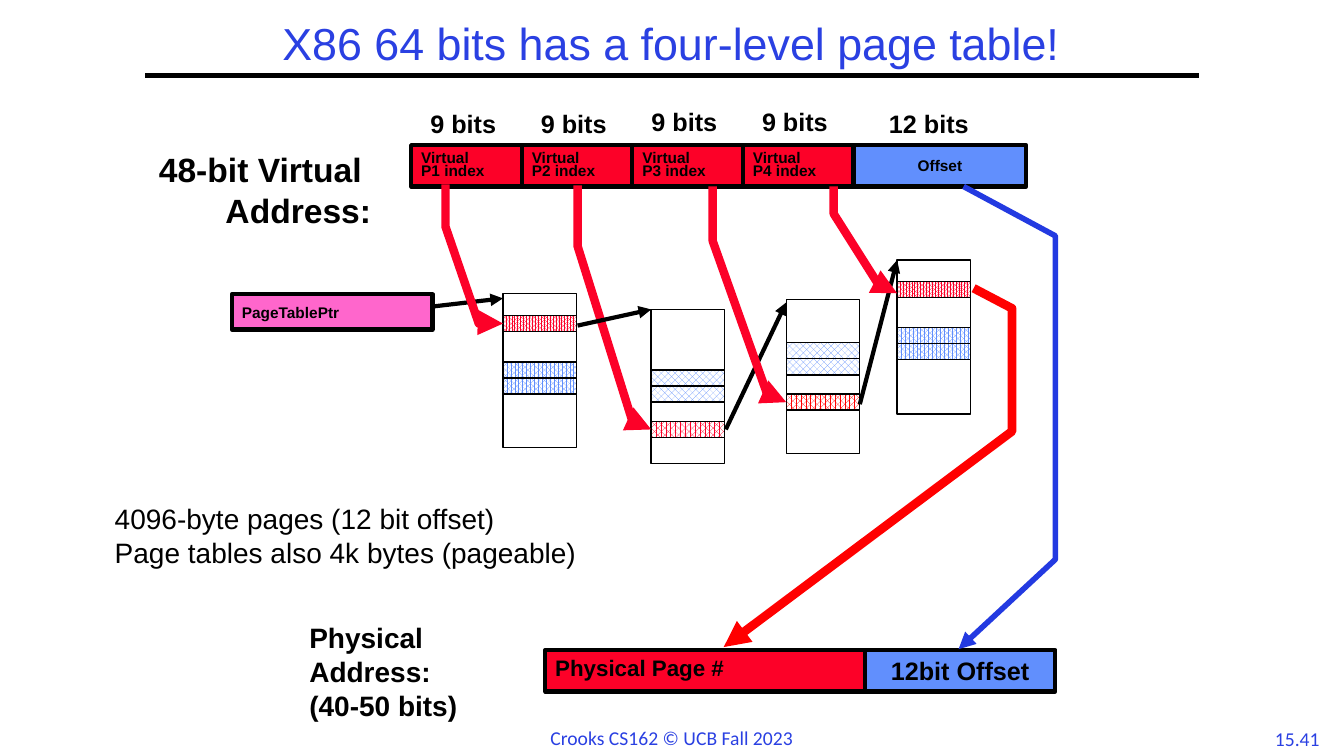
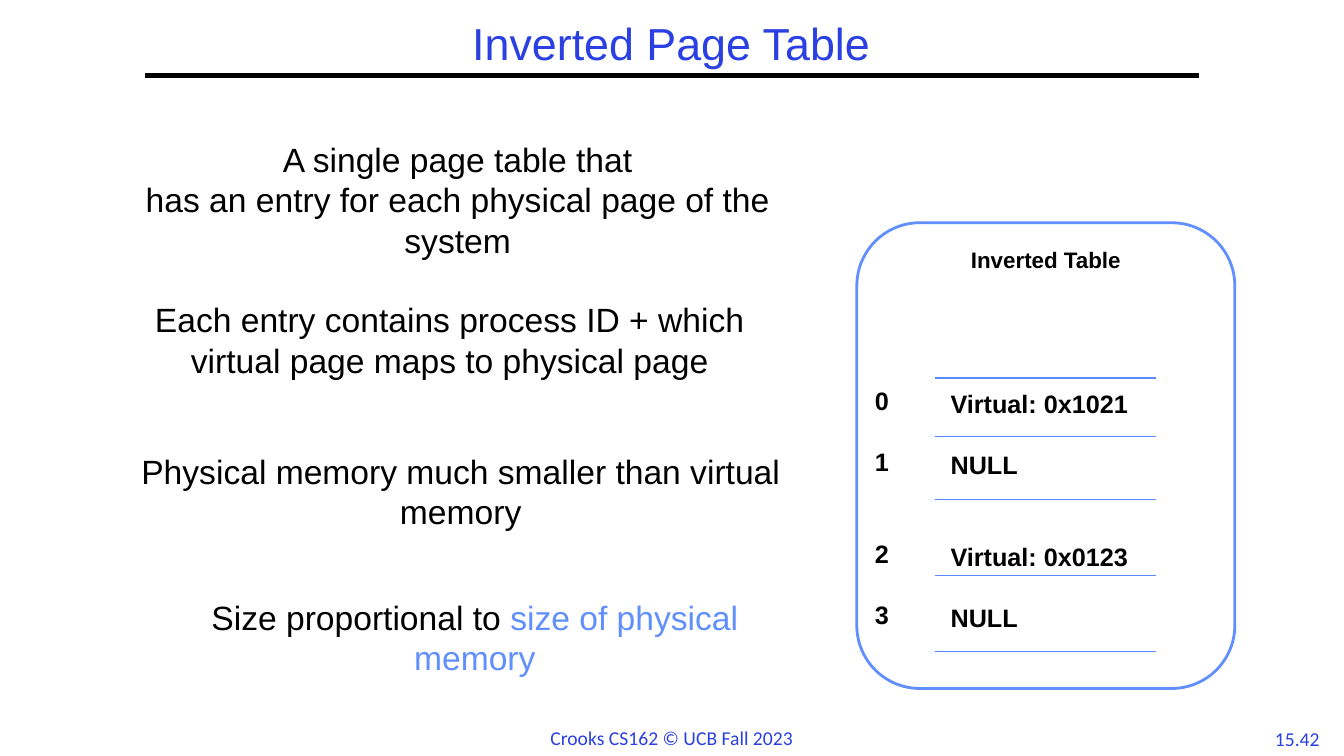
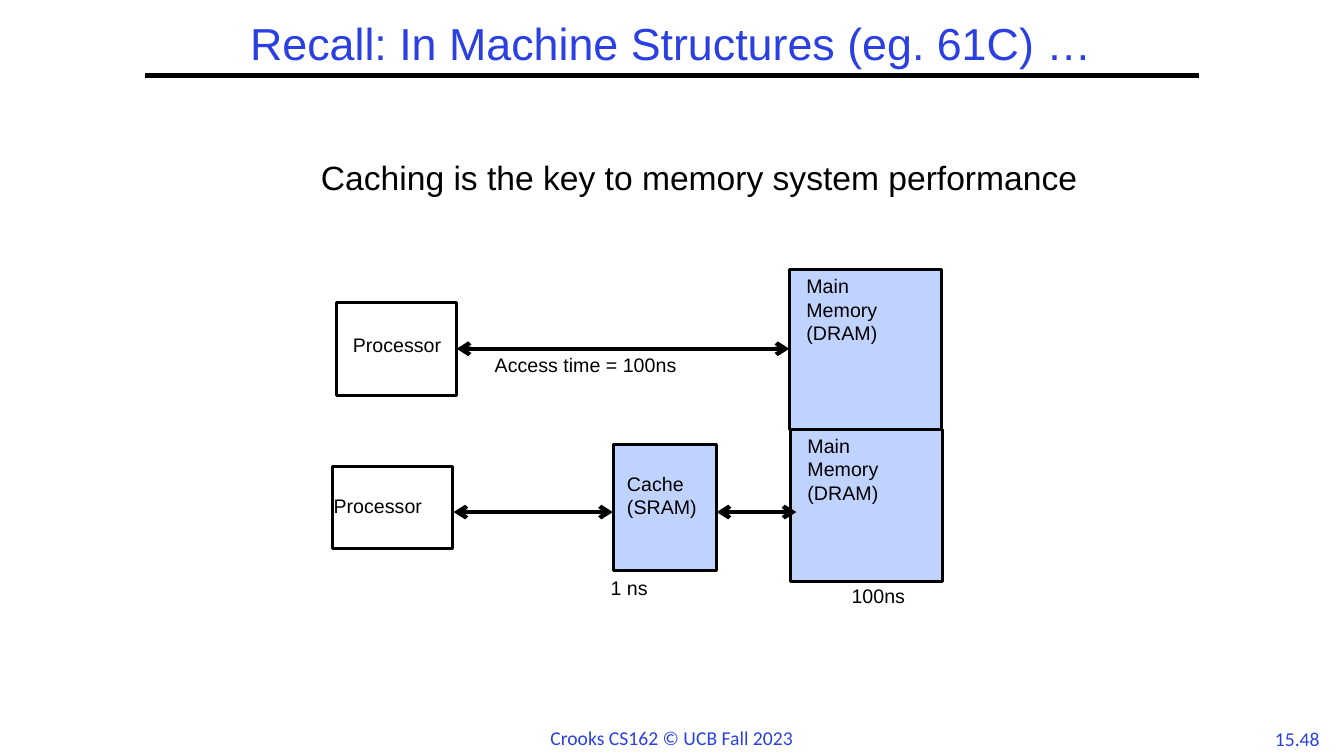
"""Builds three lecture slides on page tables and caching."""
from lxml import etree
from pptx import Presentation
from pptx import util as u
from pptx.dml.color import RGBColor
from pptx.enum import dml, shapes, text
from pptx.oxml import ns

CELL = u.Inches(0.1)
SLIDE_COLUMNS, SLIDE_ROWS = 133.33, 75

BLACK = RGBColor(0x00, 0x00, 0x00)
WHITE = RGBColor(0xFF, 0xFF, 0xFF)
TITLE_BLUE = RGBColor(0x2A, 0x40, 0xE2)
OFFSET_BLUE = RGBColor(0x23, 0x3A, 0xE1)
SKY = RGBColor(0x61, 0x8F, 0xFD)
RULE_BLUE = RGBColor(0x5B, 0x8A, 0xFB)
PALE_BLUE = RGBColor(0xC0, 0xD2, 0xFE)
RED = RGBColor(0xFC, 0x01, 0x28)
PURE_RED = RGBColor(0xFF, 0x00, 0x00)
PINK = RGBColor(0xFF, 0x66, 0xCC)

LEFT, CENTER, RIGHT = text.PP_ALIGN.LEFT, text.PP_ALIGN.CENTER, text.PP_ALIGN.RIGHT
TOP, MIDDLE = text.MSO_ANCHOR.TOP, text.MSO_ANCHOR.MIDDLE
PATTERN = dml.MSO_PATTERN_TYPE
RECTANGLE = shapes.MSO_SHAPE.RECTANGLE


def cells(count):
    """Convert a number of grid cells to a length."""
    return u.Emu(round(count * CELL))


def write(shape, lines, size, color=BLACK, bold=False, align=LEFT, anchor=TOP,
          spacing=None, font="Arial", inset=(1, 0.5), gaps=None, wrap=True):
    """Fill a shape with paragraphs; a line is a string or a list of (string, color)."""
    frame = shape.text_frame
    frame.word_wrap = wrap
    frame.vertical_anchor = anchor
    frame.margin_left, frame.margin_top = map(cells, inset)
    frame.margin_right, frame.margin_bottom = cells(min(inset[0], 1)), cells(0.5)
    for index, line in enumerate(lines):
        paragraph = frame.paragraphs[0] if index == 0 else frame.add_paragraph()
        paragraph.alignment = align
        if spacing:
            paragraph.line_spacing = spacing
        if gaps and index:
            paragraph.space_before = u.Pt(gaps[index - 1])
        for words, run_color in [(line, color)] if isinstance(line, str) else line:
            run = paragraph.add_run()
            run.text = words
            run.font.name, run.font.size, run.font.bold = font, u.Pt(size), bold
            run.font.color.rgb = run_color


def label(slide, area, lines, size, **style):
    """Add a text box."""
    write(slide.shapes.add_textbox(*map(cells, area)), lines, size, **style)


def box(slide, area, fill=None, line=BLACK, width=3, kind=RECTANGLE, pattern=None):
    """Add an outlined shape with a plain, patterned or empty fill."""
    shape = slide.shapes.add_shape(kind, *map(cells, area))
    shape.shadow.inherit = False
    if pattern:
        shape.fill.patterned()
        shape.fill.pattern = pattern
        shape.fill.fore_color.rgb, shape.fill.back_color.rgb = fill, WHITE
    elif fill is not None:
        shape.fill.solid()
        shape.fill.fore_color.rgb = fill
    else:
        shape.fill.background()
    shape.line.color.rgb, shape.line.width = line, u.Pt(width)
    return shape


def finish_line(shape, color, width, head=None, tail=None):
    """Set the stroke and arrowheads of a line."""
    shape.line.color.rgb, shape.line.width = color, u.Pt(width)
    outline = shape.element.spPr.find(ns.qn("a:ln"))
    for tag, kind in (("a:headEnd", head), ("a:tailEnd", tail)):
        if kind:
            etree.SubElement(outline, ns.qn(tag), type=kind)


def connect(slide, start, end, color=BLACK, width=3, head=None, tail=None):
    """Add a straight connector between two grid points."""
    connector = slide.shapes.add_connector(
        shapes.MSO_CONNECTOR.STRAIGHT, *map(cells, (*start, *end)))
    finish_line(connector, color, width, head, tail)
    etree.SubElement(connector.element.spPr, ns.qn("a:effectLst"))


def bent_arrow(slide, points, color=RED, width=6):
    """Add an open path through grid points that ends in an arrowhead."""
    start, *others = [tuple(map(cells, point)) for point in points]
    builder = slide.shapes.build_freeform(*start)
    builder.add_line_segments(others, close=False)
    shape = builder.convert_to_shape()
    shape.shadow.inherit = False
    shape.fill.background()
    finish_line(shape, color, width, tail="triangle")


def page_table(slide, left, top, red_row, blue_row, red, red_pattern, blue_pattern):
    """Add a page table with one red entry and two blue entries."""
    width, entry = 7.3, 1.6
    box(slide, (left, top, width, 15.3), width=1)
    for row, color, pattern in ((red_row, red, red_pattern),
                                (blue_row, SKY, blue_pattern),
                                (blue_row + entry, SKY, blue_pattern)):
        box(slide, (left, top + row, width, entry), color, width=1, pattern=pattern)


def new_slide(presentation, title, number):
    """Add a slide with the shared title, rule and footer."""
    slide = presentation.slides.add_slide(presentation.slide_layouts[6])
    small = dict(size=14, color=TITLE_BLUE, font="Calibri", align=CENTER, wrap=False)
    label(slide, (125.3, 71.6, 6.8, 3.3), [number], **small)
    label(slide, (53.5, 71.5, 26.3, 3.4), ["Crooks CS162 © UCB Fall 2023"], **small)
    connect(slide, (14.4, 7.5), (118.9, 7.5))
    label(slide, (14.4, 1.7, 104.4, 5.8), [title], 32, color=TITLE_BLUE,
          align=CENTER, anchor=MIDDLE, spacing=0.9)
    return slide


def four_level_slide(presentation):
    """Show how an address walks four page tables."""
    slide = new_slide(presentation, "X86 64 bits has a four-level page table!", "15.41")
    label(slide, (29.7, 61.1, 21.6, 11.1),
          ["Physical", "Address:", "(40-50 bits)"], 20, bold=True)
    write(box(slide, (85.8, 64.5, 18.9, 4.1), SKY), ["12bit Offset"], 18,
          bold=True, align=CENTER, anchor=MIDDLE)
    write(box(slide, (54.1, 64.5, 31.7, 4.1), RED), ["Physical Page #"], 16,
          bold=True, anchor=MIDDLE, spacing=0.75)
    label(slide, (6.7, 14.3, 31.1, 9.1), ["48-bit Virtual ", "Address:"], 24,
          bold=True, align=RIGHT)

    index_left, pitch = 40.8, 10.97
    for level, bits_top in enumerate((10.6, 10.6, 10.4, 10.4)):
        left = index_left + level * pitch
        label(slide, (left + 0.9, bits_top, 10.1, 3.3), ["9 bits"], 18,
              bold=True, spacing=0.9)
        write(box(slide, (left, 14.4, pitch, 4.1), RED),
              ["Virtual", f"P{level + 1} index"], 11,
              bold=True, anchor=MIDDLE, spacing=0.75)
    label(slide, (87.2, 10.6, 11.8, 3.3), ["12 bits"], 18, bold=True, spacing=0.9)
    write(box(slide, (84.7, 14.4, 17.1, 4.1), SKY), ["Offset"], 11,
          bold=True, align=CENTER, anchor=MIDDLE)
    write(box(slide, (23, 29.2, 19.9, 3.5), PINK), ["PageTablePtr"], 11,
          bold=True, anchor=MIDDLE)

    dense = (PATTERN.PERCENT_80, PATTERN.PERCENT_75)
    light = (PATTERN.PERCENT_70, PATTERN.PERCENT_50)
    for left, top, red_row, blue_row, red, patterns in (
            (49.9, 29.1, 2.2, 6.8, RED, dense),
            (64.6, 30.7, 11.1, 6, RED, light),
            (78, 29.7, 9.4, 4.3, PURE_RED, light),
            (89, 25.8, 2.1, 6.7, RED, dense)):
        page_table(slide, left, top, red_row, blue_row, red, *patterns)

    bent_arrow(slide, [(57.3, 18.4), (57.3, 24.4), (63, 42.6), (64.6, 42.6)])
    for start, end in (((43, 30.4), (49.9, 29.6)), ((57.3, 32.3), (64.6, 30.7)),
                       ((72, 42.6), (78, 30)), ((85.3, 40.1), (89, 25.8))):
        connect(slide, start, end, tail="triangle")
    for points in ([(44.2, 18.3), (44.2, 22.5), (47.5, 32.1), (49.9, 32.1)],
                   [(70.7, 18.5), (70.7, 23.9), (76.4, 39.9), (78, 39.9)],
                   [(82.7, 18.5), (82.7, 21.2), (87.7, 29.1), (89, 29.1)]):
        bent_arrow(slide, points)
    bent_arrow(slide, [(95.6, 18.5), (104.7, 23.4), (104.7, 55.5), (95.1, 64.4)],
               OFFSET_BLUE, 4)
    bent_arrow(slide, [(96.6, 28.6), (100.4, 30.6), (100.4, 42.8), (71.8, 64.2)],
               PURE_RED, 6.25)
    label(slide, (10.4, 49.3, 64.6, 7.7),
          ["4096-byte pages (12 bit offset)", "Page tables also 4k bytes (pageable)"], 20)


def inverted_table_slide(presentation):
    """Explain the inverted page table beside a sketch of it."""
    slide = new_slide(presentation, "Inverted Page Table", "15.42")
    for left, top, height, lines in (
            (12.5, 13.3, 13.1, ["A single page table that",
                                "has an entry for each physical page of the system"]),
            (11.7, 29.2, 13.1, ["Each entry contains process ID + which "
                                "virtual page maps to physical page"]),
            (12.8, 44.2, 9.1, ["Physical memory much smaller than virtual memory"]),
            (14.2, 58.7, 9.1, [[("Size proportional to ", BLACK),
                                ("size of physical memory", SKY)]])):
        label(slide, (left, top, 65.8, height), lines, 24, align=CENTER)

    frame = box(slide, (85, 22.1, 37.5, 46.2), WHITE, SKY, 2,
                shapes.MSO_SHAPE.ROUNDED_RECTANGLE)
    write(frame, ["Inverted Table"], 16, bold=True, align=CENTER)
    for row in (37.5, 43.3, 49.6, 57.1, 64.6):
        connect(slide, (114.7, row), (92.8, row), RULE_BLUE, 0.75)
    entries = dict(size=18, bold=True, inset=(2.4, 0.5), gaps=(22, 44, 22))
    label(slide, (84.4, 37.7, 11.8, 25.2), ["0", "1", "2", "3"], **entries)
    label(slide, (91.9, 38, 31.1, 25.2),
          ["Virtual: 0x1021", "NULL", "Virtual: 0x0123", "NULL"], **entries)


def caching_slide(presentation):
    """Compare memory access with and without a cache."""
    slide = new_slide(presentation, "Recall: In Machine Structures (eg. 61C) …", "15.48")
    label(slide, (12.3, 15.5, 114.1, 9.9),
          ["Caching is the key to memory system performance"], 24,
          align=CENTER, spacing=0.9)
    memory = ["Main", "Memory", "(DRAM)"]
    for area, fill, lines, inset in (
            ((33, 46.3, 11.9, 8.1), None, ["Processor"], (0.1, 2.7)),
            ((78.4, 42.6, 15.1, 15.1), PALE_BLUE, memory, (1.7, 0.4)),
            ((60.9, 44.1, 10.2, 12.5), PALE_BLUE, ["Cache", "(SRAM)"], (1.3, 2.7)),
            ((33.4, 30, 11.9, 9.2), None, ["Processor"], (1.6, 3)),
            ((78.3, 26.7, 15.1, 15.9), PALE_BLUE, memory, (1.7, 0.5))):
        write(box(slide, area, fill, width=2), lines, 14, inset=inset)
    for left, right, row in ((71.1, 79, 50.8), (45, 60.8, 50.8), (45.3, 78.3, 34.6)):
        connect(slide, (left, row), (right, row), head="arrow", tail="arrow")
    for area, words in (((83.5, 57.4, 9.7, 3.3), "100ns"),
                        ((59.6, 56.6, 9.7, 3.3), "1 ns"),
                        ((48.1, 34.5, 33.3, 3.4), "Access time = 100ns")):
        label(slide, area, [words], 14)


def main():
    """Build and save the presentation."""
    presentation = Presentation()
    presentation.slide_width = cells(SLIDE_COLUMNS)
    presentation.slide_height = cells(SLIDE_ROWS)
    four_level_slide(presentation)
    inverted_table_slide(presentation)
    caching_slide(presentation)
    presentation.save("out.pptx")


if __name__ == "__main__":
    main()
